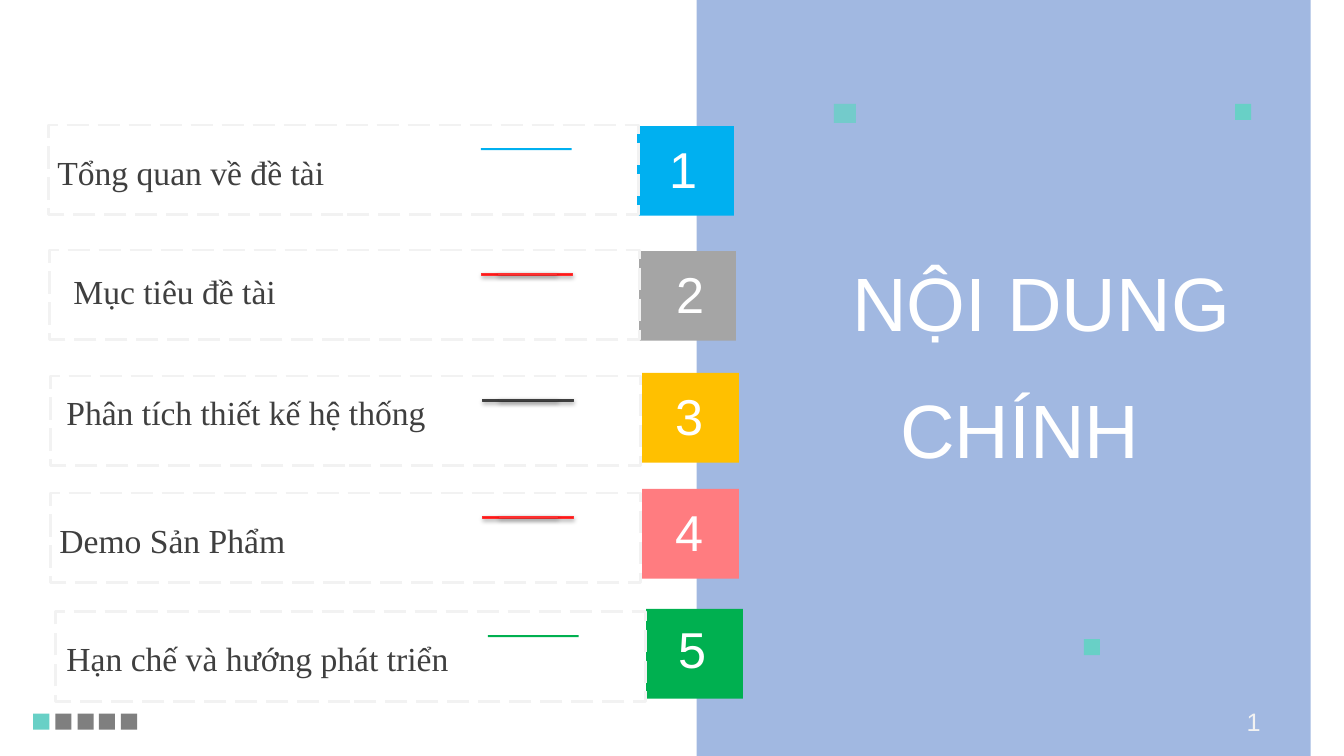
from dataclasses import dataclass

from lxml import etree
from pptx import Presentation
from pptx import util as u
from pptx.dml.color import RGBColor
from pptx.enum import dml, shapes, text
from pptx.oxml import ns

PX = 9144
WHITE, MINT, GRAY, PALE, DARK = "FFFFFF", "68D0C6", "7F7F7F", "F2F2F2", "3F3F3F"
SANS, SERIF = "Arial", "Times New Roman"
ALIGN = text.PP_ALIGN


@dataclass
class Box:
    x: int
    y: int
    w: int
    h: int


@dataclass
class Item:
    label: str
    color: str
    frame: tuple[int, int]
    block: tuple[int, int]
    digit: tuple[int, int]
    words: tuple[int, int]
    bar: str
    edge: str = ""


@dataclass
class Dot:
    box: Box
    color: str = MINT
    alpha: int = 100


ITEMS = [
    Item("Tổng quan về đề tài", "00B0F0", (48, 124), (632, 125), (643, 132), (47, 146), "00B0F0"),
    Item("Mục tiêu đề tài", "A5A5A5", (49, 248), (634, 249), (650, 256), (63, 264), "FF1818", "FD3030"),
    Item("Phân tích thiết kế hệ thống", "FFC000", (50, 373), (637, 370), (649, 377), (56, 384), DARK, DARK),
    Item("Demo Sản Phẩm", "FF7C80", (50, 489), (637, 485), (649, 492), (49, 511), "FF1818", "FD3030"),
    Item("Hạn chế và hướng phát triển", "00B050", (55, 607), (641, 604), (652, 608), (56, 628), "00B050"),
]
DOTS = [
    Dot(Box(827, 103, 22, 19), MINT, 80),
    Dot(Box(1225, 103, 16, 16)),
    Dot(Box(1075, 634, 16, 16)),
]
STEPS = [Dot(Box(33 + round(21.75 * i), 708, 16, 16), GRAY if i else MINT) for i in range(5)]

deck = Presentation()
deck.slide_width, deck.slide_height = 1333 * PX, 750 * PX
slide = deck.slides.add_slide(deck.slide_layouts[6])


def rgb(code: str) -> RGBColor:
    return RGBColor.from_string(code)


def place(box: Box) -> tuple[int, int, int, int]:
    return box.x * PX, box.y * PX, box.w * PX, box.h * PX


def rect(box: Box, fill: str = "", line: str = "", width: float = 0.75, alpha: int = 100):
    shape = slide.shapes.add_shape(shapes.MSO_SHAPE.RECTANGLE, *place(box))
    shape.shadow.inherit = False
    if fill:
        shape.fill.solid()
        shape.fill.fore_color.rgb = rgb(fill)
    else:
        shape.fill.background()
    if line:
        shape.line.color.rgb = rgb(line)
        shape.line.width = u.Pt(width)
    else:
        shape.line.fill.background()
    if alpha < 100:
        tint = shape.fill._xPr.find(".//" + ns.qn("a:srgbClr"))
        etree.SubElement(tint, ns.qn("a:alpha"), val=str(alpha * 1000))
    return shape


def shade(shape) -> None:
    effect = shape._element.spPr.find(ns.qn("a:effectLst"))
    outer = etree.SubElement(
        effect, ns.qn("a:outerShdw"), blurRad=str(u.Pt(3.1)),
        dist=str(u.Pt(1.8)), dir="5400000", rotWithShape="0")
    tint = etree.SubElement(outer, ns.qn("a:srgbClr"), val="000000")
    etree.SubElement(tint, ns.qn("a:alpha"), val="35000")


def write(box: Box, words: str, size: int, color: str, font: str, align: ALIGN) -> None:
    frame = slide.shapes.add_textbox(*place(box)).text_frame
    frame.word_wrap = True
    frame.text = words
    para = frame.paragraphs[0]
    para.alignment = align
    style = para.runs[0].font
    style.size, style.name = u.Pt(size), font
    style.color.rgb = rgb(color)


def draw(item: Item, rank: int) -> None:
    rect(Box(*item.block, 96, 89), item.color)
    write(Box(*item.digit, 70, 71), str(rank), 36, WHITE, SANS, ALIGN.CENTER)
    left, top = item.frame
    for wide, high in ((90, 2), (58, 1)):
        bar = rect(Box(left + 474 - wide // 2, top + 23, wide, high), item.bar, item.edge)
        if item.edge:
            shade(bar)
    frame = rect(Box(left, top, 585, 89), line=PALE, width=2)
    frame.line.dash_style = dml.MSO_LINE.LONG_DASH
    write(Box(*item.words, 531, 50), item.label, 24, DARK, SERIF, ALIGN.LEFT)


def main() -> None:
    rect(Box(691, 0, 609, 750), "4472C4", alpha=50)
    write(Box(563, 249, 667, 101), "NỘI DUNG", 54, WHITE, SANS, ALIGN.RIGHT)
    write(Box(473, 375, 667, 101), "CHÍNH", 54, WHITE, SANS, ALIGN.RIGHT)
    for dot in DOTS + STEPS:
        rect(dot.box, dot.color, alpha=dot.alpha)
    for rank, item in enumerate(ITEMS, 1):
        draw(item, rank)
    write(Box(1201, 696, 59, 40), "1", 18, PALE, SANS, ALIGN.RIGHT)
    deck.save("out.pptx")


if __name__ == "__main__":
    main()
